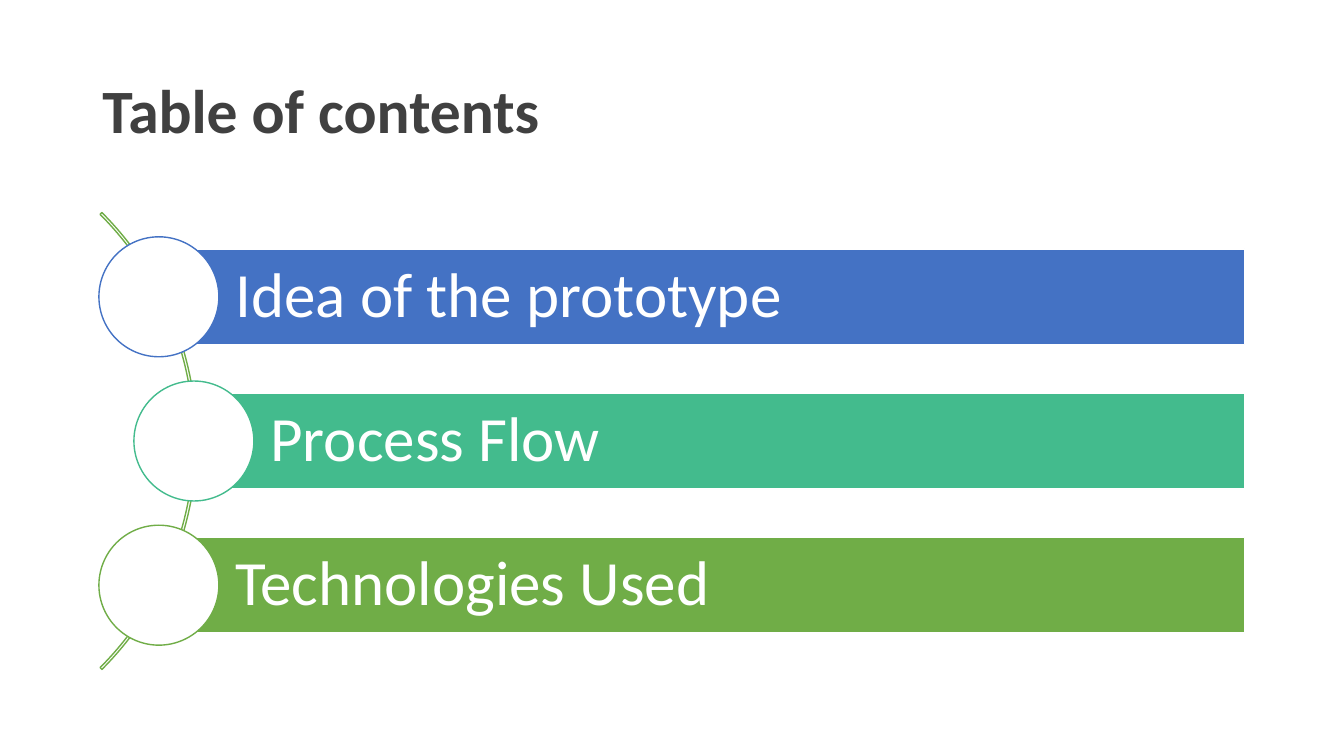
from dataclasses import dataclass

from pptx import Presentation
from pptx.dml.color import RGBColor
from pptx.enum.shapes import MSO_SHAPE as Shape
from pptx.enum.text import MSO_ANCHOR as Anchor, MSO_AUTO_SIZE as AutoSize, PP_ALIGN as Align
from pptx.util import Pt


@dataclass(frozen=True)
class Theme:
    font: str = "Calibri"
    title_size: float = 44
    topic_size: float = 45
    line_width: float = 1
    line_spacing: float = 0.9
    dark: str = "404040"
    white: str = "FFFFFF"
    blue: str = "4472C4"
    teal: str = "43BB8D"
    green: str = "70AD47"


class ContentsSlide:
    def __init__(self, slide, theme):
        self.slide = slide
        self.theme = theme

    def set_text(self, holder, text, size, color, bold=False):
        frame = holder.text_frame
        frame.text = text
        frame.word_wrap = True
        frame.auto_size = AutoSize.NONE
        frame.vertical_anchor = Anchor.MIDDLE
        paragraph = frame.paragraphs[0]
        paragraph.alignment = Align.LEFT
        paragraph.line_spacing = self.theme.line_spacing
        font = paragraph.runs[0].font
        font.name, font.size, font.bold = self.theme.font, Pt(size), bold
        font.color.rgb = RGBColor.from_string(color)

    def title(self, text, left, top, width, height):
        heading = self.slide.shapes.title
        heading.left, heading.top = Pt(left), Pt(top)
        heading.width, heading.height = Pt(width), Pt(height)
        self.set_text(heading, text, self.theme.title_size, self.theme.dark, bold=True)

    def shape(self, kind, left, top, width, height, line, fill=None):
        shape = self.slide.shapes.add_shape(kind, Pt(left), Pt(top), Pt(width), Pt(height))
        shape.shadow.inherit = False
        if fill:
            shape.fill.solid()
            shape.fill.fore_color.rgb = RGBColor.from_string(fill)
        else:
            shape.fill.background()
        shape.line.color.rgb = RGBColor.from_string(line)
        shape.line.width = Pt(self.theme.line_width)
        return shape

    def arc(self, left, middle, size, color):
        arc = self.shape(Shape.BLOCK_ARC, left, middle - size / 2, size, size, color)
        # Start angle 315°, end angle 45°, then the band thickness
        for index, value in enumerate((189, 27, 0.004)):
            arc.adjustments[index] = value

    def bar(self, text, left, middle, right, height, color):
        bar = self.shape(Shape.RECTANGLE, left, middle - height / 2,
                         right - left, height, self.theme.white, color)
        frame = bar.text_frame
        frame.margin_left = Pt(54.7)
        frame.margin_top = frame.margin_right = frame.margin_bottom = Pt(8.6)
        self.set_text(bar, text, self.theme.topic_size, self.theme.white)

    def circle(self, center, middle, size, color):
        self.shape(Shape.OVAL, center - size / 2, middle - size / 2,
                   size, size, color, self.theme.white)


def main():
    theme = Theme()
    presentation = Presentation()
    presentation.slide_width, presentation.slide_height = Pt(960), Pt(540)
    title_only = presentation.slide_layouts[5]
    contents = ContentsSlide(presentation.slides.add_slide(title_only), theme)

    # Heading
    contents.title("Table of contents", 66, 28.75, 828, 104.4)

    # Curve behind the topics
    curve_middle = 315
    contents.arc(-321.1, curve_middle, 461.5, theme.green)

    # Topics: each bar starts at the centre of its circle
    topics = [
        ("Idea of the prototype", 113.5, theme.blue),
        ("Process Flow", 138.5, theme.teal),
        ("Technologies Used", 113.5, theme.green),
    ]
    topic_step = 103
    for row, (topic, center, color) in enumerate(topics):
        middle = curve_middle + (row - 1) * topic_step
        contents.bar(topic, center, middle, 889, 68.5, color)
        contents.circle(center, middle, 85.7, color)

    presentation.save("out.pptx")


if __name__ == "__main__":
    main()
